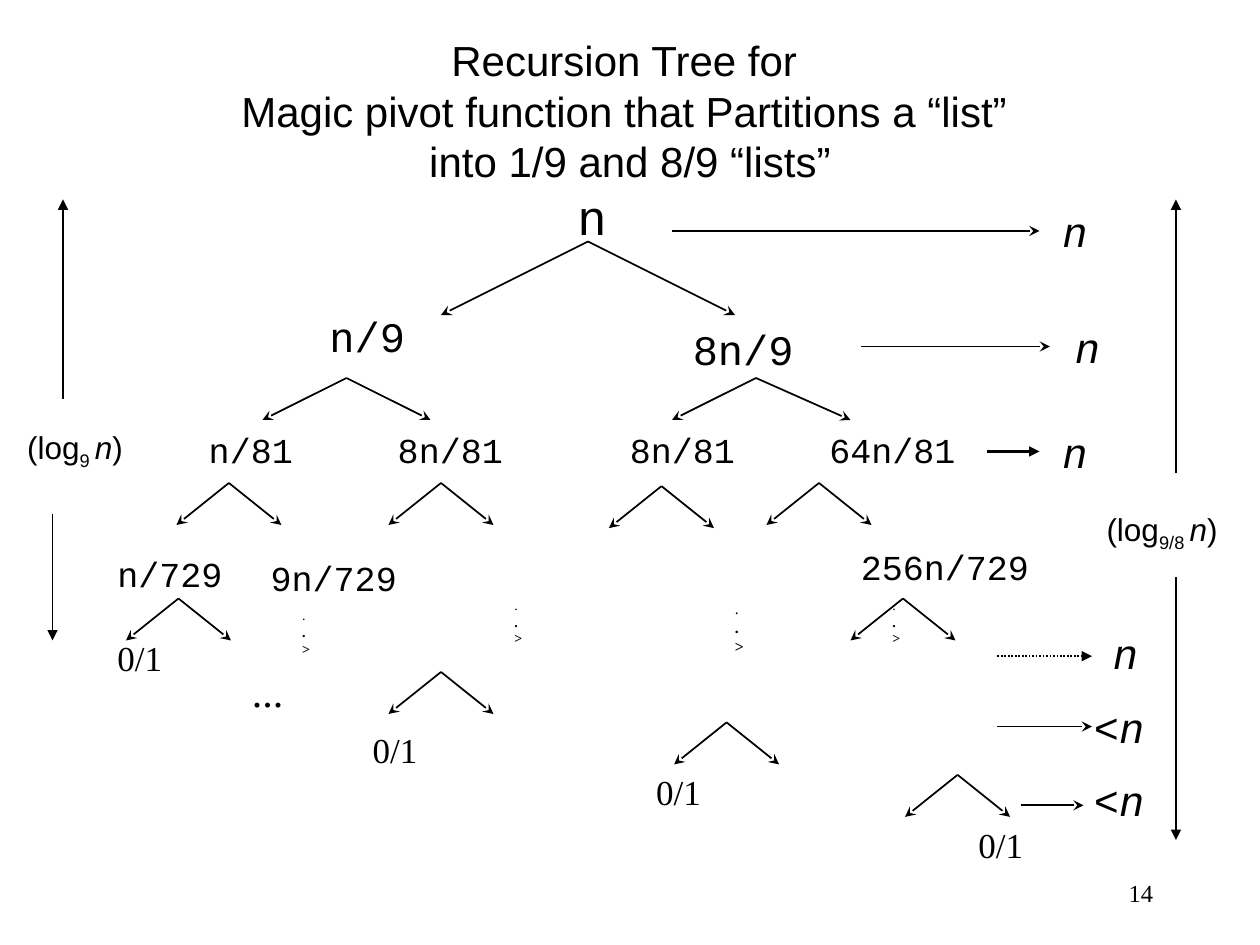
from dataclasses import dataclass

from lxml import etree
from pptx import Presentation
from pptx.dml.color import RGBColor
from pptx.enum.dml import MSO_LINE
from pptx.enum.shapes import MSO_CONNECTOR
from pptx.enum.text import MSO_ANCHOR, MSO_AUTO_SIZE, PP_ALIGN
from pptx.oxml.ns import qn
from pptx.util import Inches, Pt

BLACK = RGBColor(0, 0, 0)
SANS, MONO, SERIF = "Arial", "Courier New", "Times New Roman"
STRAIGHT = MSO_CONNECTOR.STRAIGHT
DOTTED = MSO_LINE.ROUND_DOT
LEFT, CENTER, RIGHT = PP_ALIGN.LEFT, PP_ALIGN.CENTER, PP_ALIGN.RIGHT
MIDDLE = MSO_ANCHOR.MIDDLE
FIT_SHAPE = MSO_AUTO_SIZE.SHAPE_TO_FIT_TEXT

# The slide is a grid of 120 columns by 90 rows, each 1/12 inch.
COLUMNS, ROWS, CELLS_PER_INCH = 120, 90, 12
MONO_ADVANCE = 0.6


@dataclass(frozen=True)
class Span:
    text: str
    italic: bool = False
    bold: bool = False
    subscript: bool = False


@dataclass(frozen=True)
class Label:
    column: float
    row: float
    lines: tuple[tuple[Span, ...], ...]
    size: int
    font: str
    ems: float  # text width in multiples of the font size


@dataclass(frozen=True)
class Fork:
    column: float
    row: float
    left: float = 5
    right: float = 5
    drop: float = 4


@dataclass(frozen=True)
class Arrow:
    start: tuple[float, float]
    end: tuple[float, float]
    head: str = "stealth"
    weight: float = 1
    dash: MSO_LINE | None = None


def mono(column: float, row: float, text: str, size: int) -> Label:
    return Label(column, row, ((Span(text),),), size, MONO, MONO_ADVANCE * len(text))


def cost(column: float, row: float, prefix: str = "") -> Label:
    """Work done at one level of the tree: an italic n after an optional sign."""
    spans = ((Span(prefix),) if prefix else ()) + (Span("n", italic=True),)
    return Label(column, row, (spans,), 24, MONO, MONO_ADVANCE * len(spans))


def leaf(column: float, row: float) -> Label:
    return Label(column, row, ((Span("0/1"),),), 20, SERIF, 1.28)


def descent(column: float, row: float, size: int = 8) -> Label:
    """Dots that end in a mark, for levels that are left out."""
    lines = ((Span("."),), (Span(".", bold=True),), (Span(">", bold=True),))
    return Label(column, row, lines, size, SERIF, 0.57)


def depth(column: float, row: float, base: str, ems: float) -> Label:
    spans = (Span("(log"), Span(base + " ", subscript=True),
             Span("n", italic=True), Span(")"))
    return Label(column, row, (spans,), 18, SANS, ems)


LABELS = [
    mono(53.8, 17.2, "n", 28),
    mono(30.2, 29, "n/9", 24), mono(64.8, 30.2, "8n/9", 24),
    mono(18.7, 40.2, "n/81", 20), mono(36.7, 40.2, "8n/81", 20),
    mono(58.8, 40.2, "8n/81", 20), mono(77.8, 40.2, "64n/81", 20),
    mono(10, 52, "n/729", 20), mono(24.6, 52.4, "9n/729", 20),
    mono(80.8, 51.4, "256n/729", 20),
    descent(27.6, 57.2), descent(47.8, 56.2),
    descent(68.8, 56.4, 9), descent(83.8, 56.2),
    leaf(10, 60), leaf(34.3, 68.8), leaf(61.3, 72.8), leaf(92, 77.8),
    Label(22.8, 62.8, ((Span("..."),),), 24, SERIF, 0.75),
    depth(1.4, 40.2, "9", 3.16), depth(104.2, 48, "9/8", 3.64),
    cost(100, 19), cost(101.2, 30), cost(100, 40), cost(104.8, 59.2),
    cost(103, 66.2, "<"), cost(103, 73.2, "<"),
]

FORKS = [
    Fork(56, 23, 14, 14, 7),
    Fork(33, 36, 8, 8), Fork(72, 36, 8, 9),
    Fork(21.8, 46), Fork(42, 46), Fork(63, 46.3), Fork(78, 46),
    Fork(17, 57), Fork(86, 57),
    Fork(42, 64), Fork(69.2, 68.8), Fork(91.2, 73.8),
]

ARROWS = [
    Arrow((64, 22), (99, 22)),
    Arrow((82, 33), (100, 33)),
    Arrow((94, 43), (99, 43), "triangle", 1.5),
    Arrow((95, 62.5), (104, 62.5), "triangle", dash=DOTTED),
    Arrow((95, 69.2), (104, 69.2)),
    Arrow((97.2, 76.7), (103.2, 76.7)),
    Arrow((6, 38), (6, 19), "triangle"),
    Arrow((5, 49), (5, 61), "triangle"),
    Arrow((112, 45), (112, 19), "triangle"),
    Arrow((112, 55), (112, 80), "triangle"),
]


def cells(count: float) -> int:
    return Inches(count / CELLS_PER_INCH)


def style_run(run, size: int, font: str) -> None:
    run.font.size = Pt(size)
    run.font.name = font
    run.font.color.rgb = BLACK


def draw_label(slide, label: Label) -> None:
    """Size the box from its text: 1.2 line spacing plus the default insets."""
    width = Inches(label.ems * label.size / 72 + 0.2)
    height = Inches(1.2 * label.size * len(label.lines) / 72 + 0.1)
    box = slide.shapes.add_textbox(cells(label.column), cells(label.row), width, height)
    frame = box.text_frame
    frame.word_wrap = False
    frame.auto_size = FIT_SHAPE
    for index, spans in enumerate(label.lines):
        paragraph = frame.add_paragraph() if index else frame.paragraphs[0]
        for span in spans:
            run = paragraph.add_run()
            run.text = span.text
            style_run(run, label.size, label.font)
            run.font.italic = span.italic
            run.font.bold = span.bold
            if span.subscript:
                run.font._element.set("baseline", "-25000")


def draw_block(slide, area: tuple[float, float, float, float], text: str,
               size: int, font: str, alignment: PP_ALIGN) -> None:
    frame = slide.shapes.add_textbox(*map(cells, area)).text_frame
    frame.word_wrap = True
    frame.vertical_anchor = MIDDLE
    frame.text = text
    for paragraph in frame.paragraphs:
        paragraph.alignment = alignment
        for run in paragraph.runs:
            style_run(run, size, font)


def draw_arrow(slide, arrow: Arrow) -> None:
    connector = slide.shapes.add_connector(
        STRAIGHT, *map(cells, arrow.start + arrow.end))
    connector.line.color.rgb = BLACK
    connector.line.width = Pt(arrow.weight)
    if arrow.dash is not None:
        connector.line.dash_style = arrow.dash
    line = connector.line._get_or_add_ln()
    etree.SubElement(line, qn("a:tailEnd"), type=arrow.head)
    etree.SubElement(connector._element.spPr, qn("a:effectLst"))


def draw_fork(slide, fork: Fork) -> None:
    for offset in (-fork.left, fork.right):
        draw_arrow(slide, Arrow((fork.column, fork.row),
                                (fork.column + offset, fork.row + fork.drop)))


def main() -> None:
    presentation = Presentation()
    presentation.slide_width = cells(COLUMNS)
    presentation.slide_height = cells(ROWS)
    slide = presentation.slides.add_slide(presentation.slide_layouts[6])
    title = ("Recursion Tree for \nMagic pivot function that Partitions a “list” \n"
             "into 1/9 and 8/9 “lists”")
    draw_block(slide, (9, 3, 102, 15), title, 24, SANS, CENTER)
    for label in LABELS:
        draw_label(slide, label)
    for fork in FORKS:
        draw_fork(slide, fork)
    for arrow in ARROWS:
        draw_arrow(slide, arrow)
    draw_block(slide, (86, 82, 25, 6), "14", 14, SERIF, RIGHT)
    presentation.save("out.pptx")


if __name__ == "__main__":
    main()
